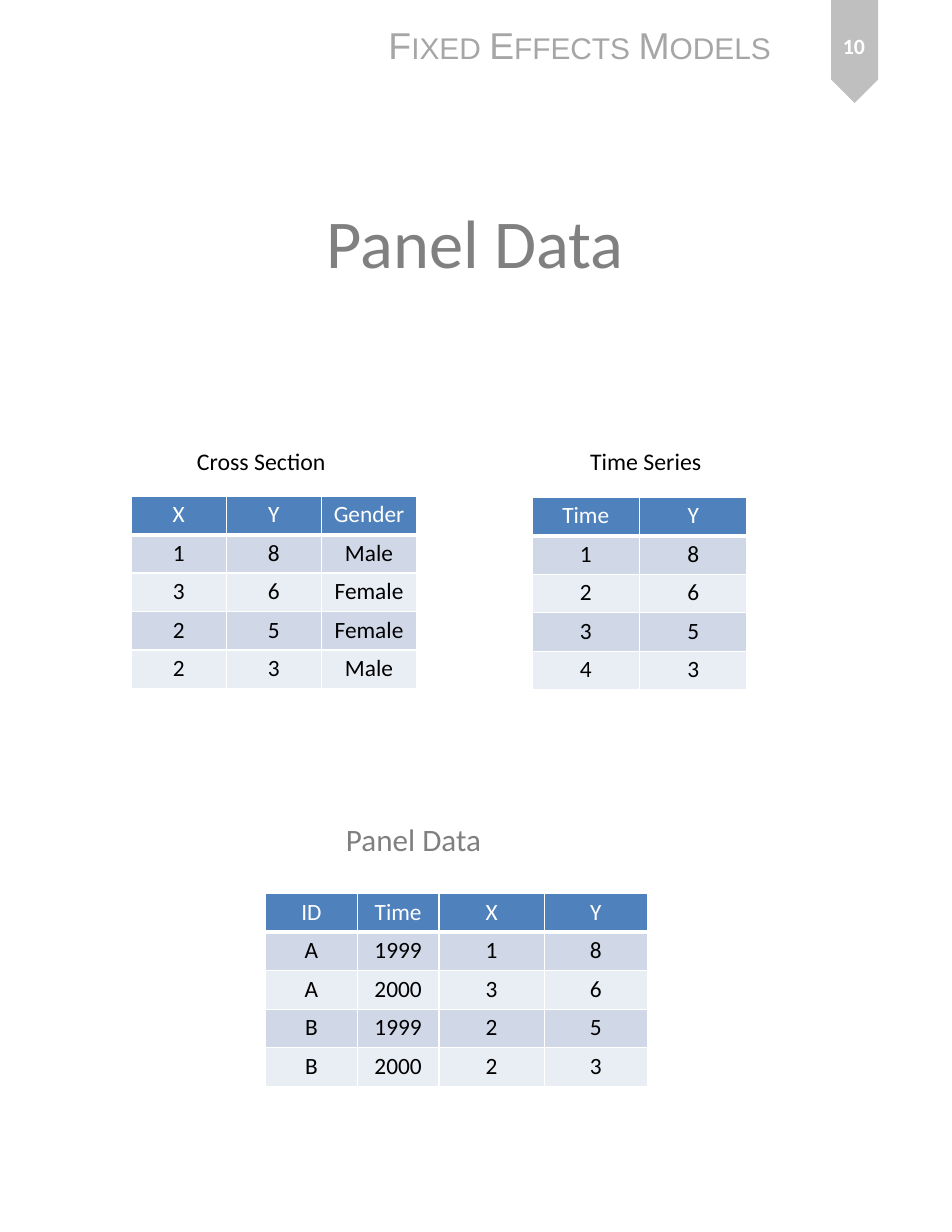
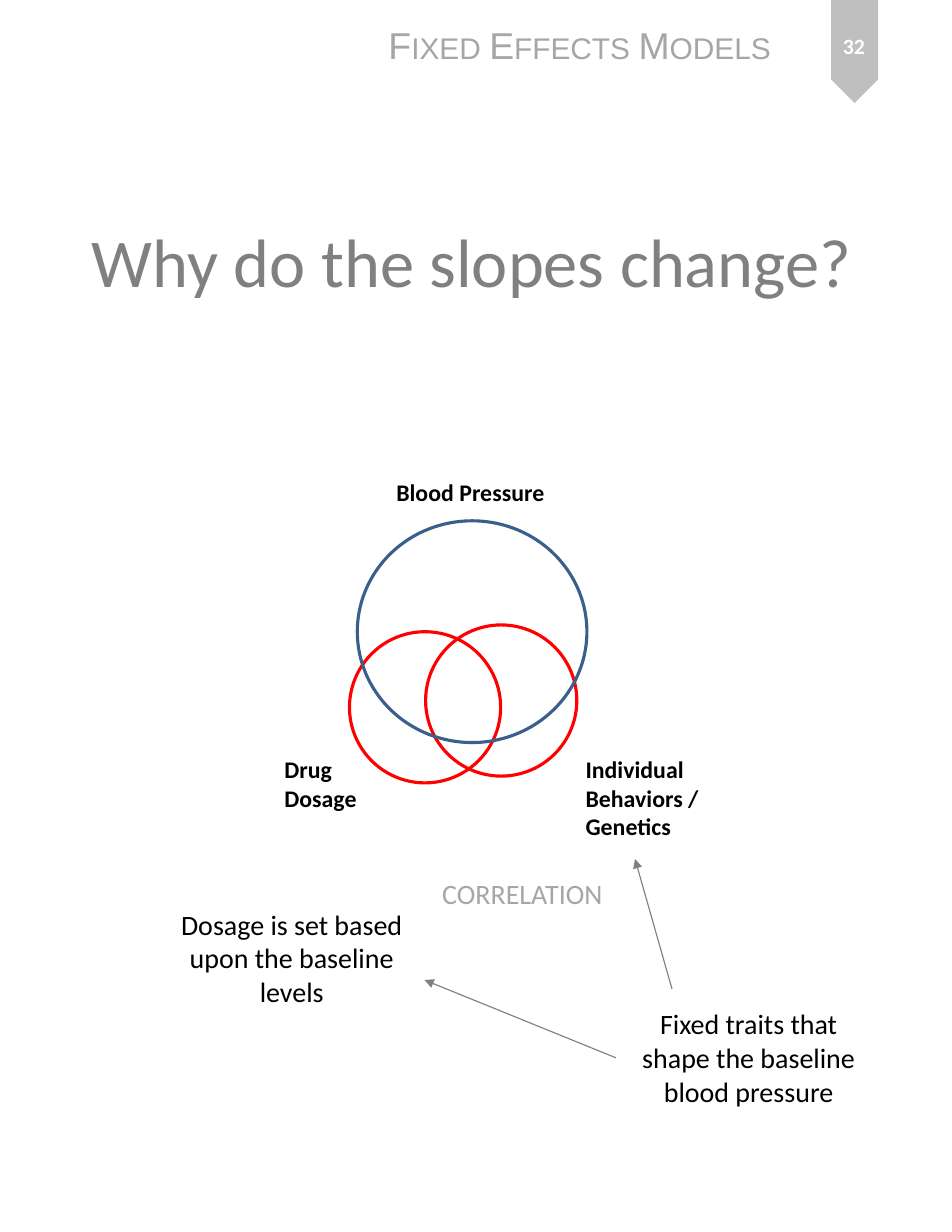
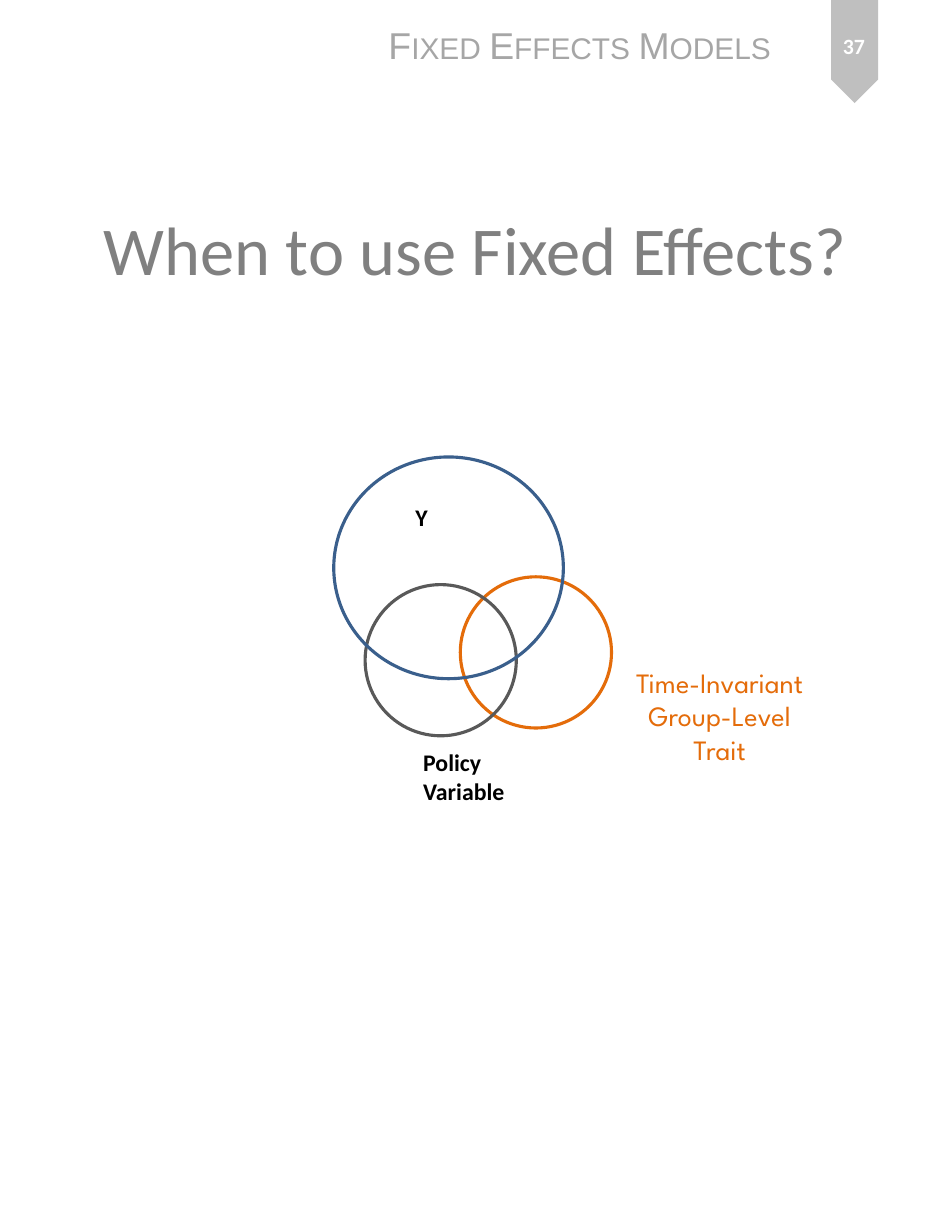
from dataclasses import dataclass

from lxml import etree
from pptx import Presentation
from pptx.dml.color import RGBColor
from pptx.enum.shapes import MSO_CONNECTOR, MSO_SHAPE
from pptx.enum.text import MSO_ANCHOR, MSO_AUTO_SIZE, PP_ALIGN
from pptx.oxml.ns import qn
from pptx.shapes.autoshape import Shape
from pptx.shapes.connector import Connector
from pptx.slide import Slide
from pptx.table import _Cell
from pptx.util import Inches, Pt

BLACK = RGBColor(0x00, 0x00, 0x00)
WHITE = RGBColor(0xFF, 0xFF, 0xFF)
GRAY = RGBColor(0x80, 0x80, 0x80)
DARK_GRAY = RGBColor(0x59, 0x59, 0x59)
LIGHT_GRAY = RGBColor(0xA6, 0xA6, 0xA6)
RIBBON_GRAY = RGBColor(0xBF, 0xBF, 0xBF)
HEADER_BLUE = RGBColor(0x4F, 0x81, 0xBD)
ODD_ROW = RGBColor(0xD0, 0xD8, 0xE8)
EVEN_ROW = RGBColor(0xE9, 0xED, 0xF4)
OUTCOME_BLUE = RGBColor(0x3A, 0x5F, 0x8C)
RED = RGBColor(0xFF, 0x00, 0x00)
ORANGE = RGBColor(0xE4, 0x6C, 0x0A)

BODY_FONT = "Calibri"
LEFT, CENTER = PP_ALIGN.LEFT, PP_ALIGN.CENTER
MIDDLE = MSO_ANCHOR.MIDDLE
FIT_SHAPE, NO_FIT = MSO_AUTO_SIZE.SHAPE_TO_FIT_TEXT, MSO_AUTO_SIZE.NONE
ELLIPSE, RIBBON = MSO_SHAPE.OVAL, MSO_SHAPE.PENTAGON
STRAIGHT = MSO_CONNECTOR.STRAIGHT

TITLE_ONLY = 5
LEFT_SIDE = 1
TABLE_HEIGHT = 1.72
CIRCLE = (1.35, 1.35)
OUTCOME = (2.05, 1.98)


@dataclass(frozen=True)
class Label:
    text: str
    left: float
    top: float
    width: float
    height: float
    size: float = 15.3
    color: RGBColor = BLACK
    bold: bool = False
    font: str = BODY_FONT
    align: PP_ALIGN = LEFT
    wrap: bool = False


@dataclass(frozen=True)
class Ring:
    left: float
    top: float
    color: RGBColor
    size: tuple[float, float] = CIRCLE


@dataclass(frozen=True)
class DataTable:
    left: float
    top: float
    widths: tuple[float, ...]
    rows: tuple[tuple[str, ...], ...]


def style_text(shape: Shape | _Cell, size: float, color: RGBColor,
               bold: bool = False, font: str = BODY_FONT,
               align: PP_ALIGN = CENTER) -> None:
    for paragraph in shape.text_frame.paragraphs:
        paragraph.alignment = align
        for run in paragraph.runs:
            run.font.name = font
            run.font.size = Pt(size)
            run.font.bold = bold
            run.font.color.rgb = color


def add_label(slide: Slide, label: Label) -> Shape:
    box = slide.shapes.add_textbox(Inches(label.left), Inches(label.top),
                                   Inches(label.width), Inches(label.height))
    frame = box.text_frame
    frame.text = label.text
    frame.word_wrap = label.wrap
    frame.auto_size = FIT_SHAPE
    style_text(box, label.size, label.color, label.bold, label.font, label.align)
    return box


def add_ring(slide: Slide, ring: Ring) -> None:
    width, height = ring.size
    oval = slide.shapes.add_shape(ELLIPSE, Inches(ring.left), Inches(ring.top),
                                  Inches(width), Inches(height))
    oval.shadow.inherit = False
    oval.fill.background()
    oval.line.color.rgb = ring.color
    oval.line.width = Pt(2)


def set_borders(cell: _Cell, bottom_width: float) -> None:
    """Give a cell white borders; call before the fill is set."""
    properties = cell._tc.get_or_add_tcPr()
    for side, width in (("L", 1), ("R", 1), ("T", 1), ("B", bottom_width)):
        line = etree.SubElement(properties, qn(f"a:ln{side}"), w=str(Pt(width)))
        fill = etree.SubElement(line, qn("a:solidFill"))
        etree.SubElement(fill, qn("a:srgbClr"), val=str(WHITE))


def add_data_table(slide: Slide, data: DataTable) -> None:
    table = slide.shapes.add_table(
        len(data.rows), len(data.widths), Inches(data.left), Inches(data.top),
        Inches(sum(data.widths)), Inches(TABLE_HEIGHT)).table
    for column, width in zip(table.columns, data.widths):
        column.width = Inches(width)
    for row_index, values in enumerate(data.rows):
        is_header = row_index == 0
        band = HEADER_BLUE if is_header else ODD_ROW if row_index % 2 else EVEN_ROW
        for column_index, value in enumerate(values):
            cell = table.cell(row_index, column_index)
            cell.margin_left = cell.margin_right = Inches(0.09)
            cell.margin_top = cell.margin_bottom = Inches(0.04)
            set_borders(cell, 3 if is_header else 1)
            cell.fill.solid()
            cell.fill.fore_color.rgb = band
            cell.text_frame.text = value
            style_text(cell, 15, WHITE if is_header else BLACK)


def add_arrow(slide: Slide, start: tuple[float, float],
              end: tuple[float, float]) -> Connector:
    arrow = slide.shapes.add_connector(STRAIGHT, *map(Inches, start + end))
    arrow.line.color.rgb = GRAY
    arrow.line.width = Pt(0.75)
    etree.SubElement(arrow.line._get_or_add_ln(), qn("a:tailEnd"), type="triangle")
    etree.SubElement(arrow._element.spPr, qn("a:effectLst"))
    return arrow


def add_header(slide: Slide, number: str) -> None:
    """Draw the running head and the ribbon with the page number."""
    ribbon = slide.shapes.add_shape(RIBBON, Inches(7.17), Inches(0.25),
                                    Inches(0.92), Inches(0.42))
    ribbon.rotation = 90
    ribbon.shadow.inherit = False
    ribbon.fill.solid()
    ribbon.fill.fore_color.rgb = RIBBON_GRAY
    ribbon.line.fill.background()

    running_head = add_label(slide, Label("Fixed Effects Models", 3.37, 0.15, 3.68,
                                          0.5, 24, LIGHT_GRAY, font="Arial"))
    head_run = running_head.text_frame.paragraphs[0].runs[0]
    head_run._r.get_or_add_rPr().set("cap", "small")

    page_number = add_label(slide, Label(number, 7.29, 0.11, 0.67, 0.59, 14, WHITE,
                                         bold=True, align=CENTER, wrap=True))
    page_number.text_frame.auto_size = NO_FIT
    page_number.text_frame.vertical_anchor = MIDDLE


def add_titled_slide(deck: Presentation, number: str, heading: str,
                     left: float, top: float) -> Slide:
    slide = deck.slides.add_slide(deck.slide_layouts[TITLE_ONLY])
    title = slide.shapes.title
    title.left, title.top = Inches(left), Inches(top)
    title.width, title.height = Inches(7.65), Inches(1.83)
    title.text_frame.text = heading
    title.text_frame.vertical_anchor = MIDDLE
    style_text(title, 44, GRAY)
    add_header(slide, number)
    return slide


def build_panel_data(deck: Presentation) -> None:
    slide = add_titled_slide(deck, "10", "Panel Data", 0.42, 1.24)
    tables = (
        DataTable(1.17, 4.43, (0.85,) * 3, (
            ("X", "Y", "Gender"),
            ("1", "8", "Male"),
            ("3", "6", "Female"),
            ("2", "5", "Female"),
            ("2", "3", "Male"))),
        DataTable(2.37, 7.98, (0.82, 0.73, 0.94, 0.92), (
            ("ID", "Time", "X", "Y"),
            ("A", "1999", "1", "8"),
            ("A", "2000", "3", "6"),
            ("B", "1999", "2", "5"),
            ("B", "2000", "2", "3"))),
        DataTable(4.75, 4.44, (0.96,) * 2, (
            ("Time", "Y"),
            ("1", "8"),
            ("2", "6"),
            ("3", "5"),
            ("4", "3"))),
    )
    for data in tables:
        add_data_table(slide, data)
    for caption in (
        Label("Cross Section", 1.66, 3.94, 1.36, 0.36),
        Label("Panel Data", 2.99, 7.28, 1.82, 0.44, 20, GRAY),
        Label("Time Series", 5.17, 3.94, 1.2, 0.36),
    ):
        add_label(slide, caption)


def build_slopes(deck: Presentation) -> None:
    slide = add_titled_slide(deck, "32", "Why do the slopes change?", 0.39, 1.41)
    for ring in (Ring(3.12, 5.64, RED), Ring(3.8, 5.58, RED),
                 Ring(3.19, 4.65, OUTCOME_BLUE, OUTCOME)):
        add_ring(slide, ring)
    for label in (
        Label("Blood Pressure", 3.44, 4.22, 1.54, 0.36, bold=True),
        Label("Individual Behaviors / Genetics", 5.13, 6.69, 1.77, 0.87,
              bold=True, wrap=True),
        Label("Drug\vDosage", 2.44, 6.69, 0.85, 0.62, bold=True),
        Label("Dosage is set based upon the baseline levels", 1.42, 8.05, 2.37,
              1.01, 18, align=CENTER, wrap=True),
        Label("CORRELATION", 3.85, 7.78, 1.65, 0.4, 18, LIGHT_GRAY),
    ):
        add_label(slide, label)
    fixed_traits = add_label(slide, Label(
        "Fixed traits that shape the baseline blood pressure", 5.5, 8.94, 2.37,
        1.01, 18, align=CENTER, wrap=True))
    add_arrow(slide, (6, 8.83), (5.67, 7.67))
    to_dosage = add_arrow(slide, (5.5, 9.45), (3.79, 8.75))
    to_dosage.begin_connect(fixed_traits, LEFT_SIDE)


def build_when_to_use(deck: Presentation) -> None:
    slide = add_titled_slide(deck, "37", "When to use Fixed Effects?", 0.42, 1.3)
    for ring in (Ring(4.11, 5.15, ORANGE), Ring(3.26, 5.22, DARK_GRAY),
                 Ring(2.98, 4.08, OUTCOME_BLUE, OUTCOME)):
        add_ring(slide, ring)
    for label in (
        Label("Y", 3.61, 4.44, 0.31, 0.36, bold=True),
        Label("Time-Invariant\vGroup-Level\nTrait", 5.47, 5.89, 1.91, 1.01, 18,
              ORANGE, font="League Spartan", align=CENTER),
        Label("Policy\vVariable", 3.68, 6.63, 0.93, 0.62, bold=True),
    ):
        add_label(slide, label)


def main() -> None:
    deck = Presentation()
    deck.slide_width, deck.slide_height = Inches(8.5), Inches(11)
    build_panel_data(deck)
    build_slopes(deck)
    build_when_to_use(deck)
    deck.save("out.pptx")


if __name__ == "__main__":
    main()
